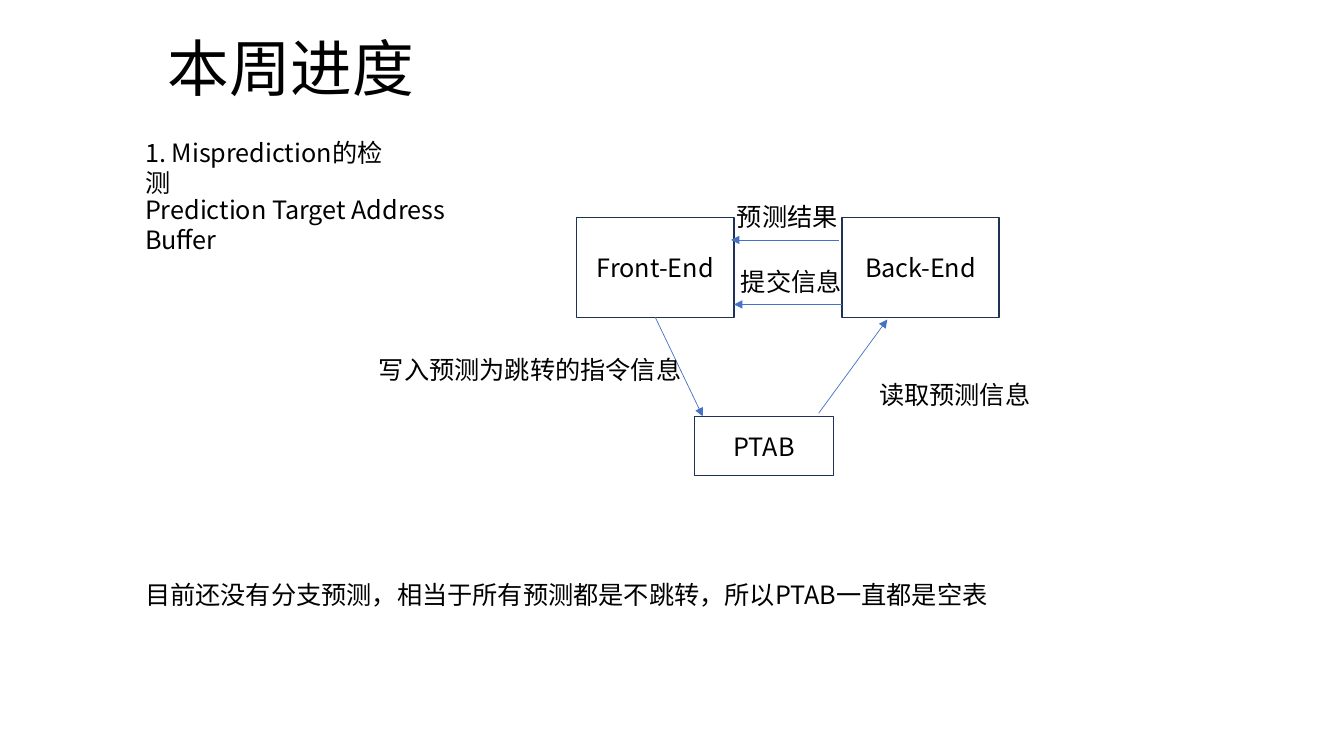
from lxml import etree
from pptx import Presentation
from pptx.dml.color import RGBColor
from pptx.enum import shapes, text
from pptx.oxml.ns import qn
from pptx.util import Inches, Pt

FONT = "Noto Sans CJK SC"
COLOURS = {"text": "000000", "outline": "1E3256", "arrow": "4472C4"}

TITLE = ("本周进度", 0.64, -0.1, 4.49, 1.61)
# wording, left, top, width
NOTES = [
    ("1. Misprediction的检测", 1.34, 1.31, 2.69),
    ("Prediction Target Address Buffer", 1.34, 1.88, 3.71),
    ("目前还没有分支预测，相当于所有预测都是不跳转，所以PTAB一直都是空表", 1.34, 5.7, 8.6),
    ("预测结果", 7.21, 1.95, 1.21),
    ("提交信息", 7.25, 2.59, 1.21),
    ("写入预测为跳转的指令信息", 3.66, 3.47, 3.23),
    ("读取预测信息", 8.62, 3.71, 1.74),
]
NOTE_HEIGHT = 0.4
# wording, left, top, width, height
BLOCKS = [
    ("Front-End", 5.72, 2.16, 1.56, 0.99),
    ("Back-End", 8.35, 2.16, 1.56, 0.99),
    ("PTAB", 6.89, 4.13, 1.38, 0.59),
]
# start x, start y, end x, end y
ARROWS = [
    (8.32, 2.38, 7.25, 2.38),
    (8.35, 3.02, 7.28, 3.02),
    (6.5, 3.15, 6.97, 4.13),
    (8.12, 4.1, 8.8, 3.17),
]


def colour(name):
    return RGBColor.from_string(COLOURS[name])


def write(shape, wording, size=18, centred=False):
    """Fill a shape with one line of text; centred applies both ways."""
    frame = shape.text_frame
    frame.word_wrap = True
    frame.vertical_anchor = text.MSO_ANCHOR.MIDDLE if centred else text.MSO_ANCHOR.TOP
    paragraph = frame.paragraphs[0]
    paragraph.alignment = text.PP_ALIGN.CENTER if centred else text.PP_ALIGN.LEFT
    run = paragraph.add_run()
    run.text = wording
    run.font.size = Pt(size)
    run.font.name = FONT
    run.font.color.rgb = colour("text")
    east_asian = etree.SubElement(run.font._element, qn("a:ea"))
    east_asian.set("typeface", FONT)
    return paragraph


def add_block(slide, wording, *box):
    block = slide.shapes.add_shape(shapes.MSO_SHAPE.RECTANGLE, *map(Inches, box))
    block.shadow.inherit = False
    block.fill.background()
    block.line.color.rgb = colour("outline")
    block.line.width = Pt(1)
    write(block, wording, centred=True)


def add_arrow(slide, *ends):
    arrow = slide.shapes.add_connector(shapes.MSO_CONNECTOR.STRAIGHT, *map(Inches, ends))
    arrow.line.color.rgb = colour("arrow")
    arrow.line.width = Pt(0.5)
    properties = arrow._element.spPr
    head = etree.SubElement(properties.find(qn("a:ln")), qn("a:tailEnd"))
    head.set("type", "triangle")
    etree.SubElement(properties, qn("a:effectLst"))


def main():
    presentation = Presentation()
    presentation.slide_width = Inches(13.33)
    presentation.slide_height = Inches(7.5)
    slide = presentation.slides.add_slide(presentation.slide_layouts[6])

    wording, *box = TITLE
    title = slide.shapes.add_textbox(*map(Inches, box))
    write(title, wording, size=44, centred=True).line_spacing = 0.9

    for block in BLOCKS:
        add_block(slide, *block)
    for arrow in ARROWS:
        add_arrow(slide, *arrow)
    for wording, *place in NOTES:
        note = slide.shapes.add_textbox(*map(Inches, (*place, NOTE_HEIGHT)))
        write(note, wording)

    presentation.save("out.pptx")


if __name__ == "__main__":
    main()
